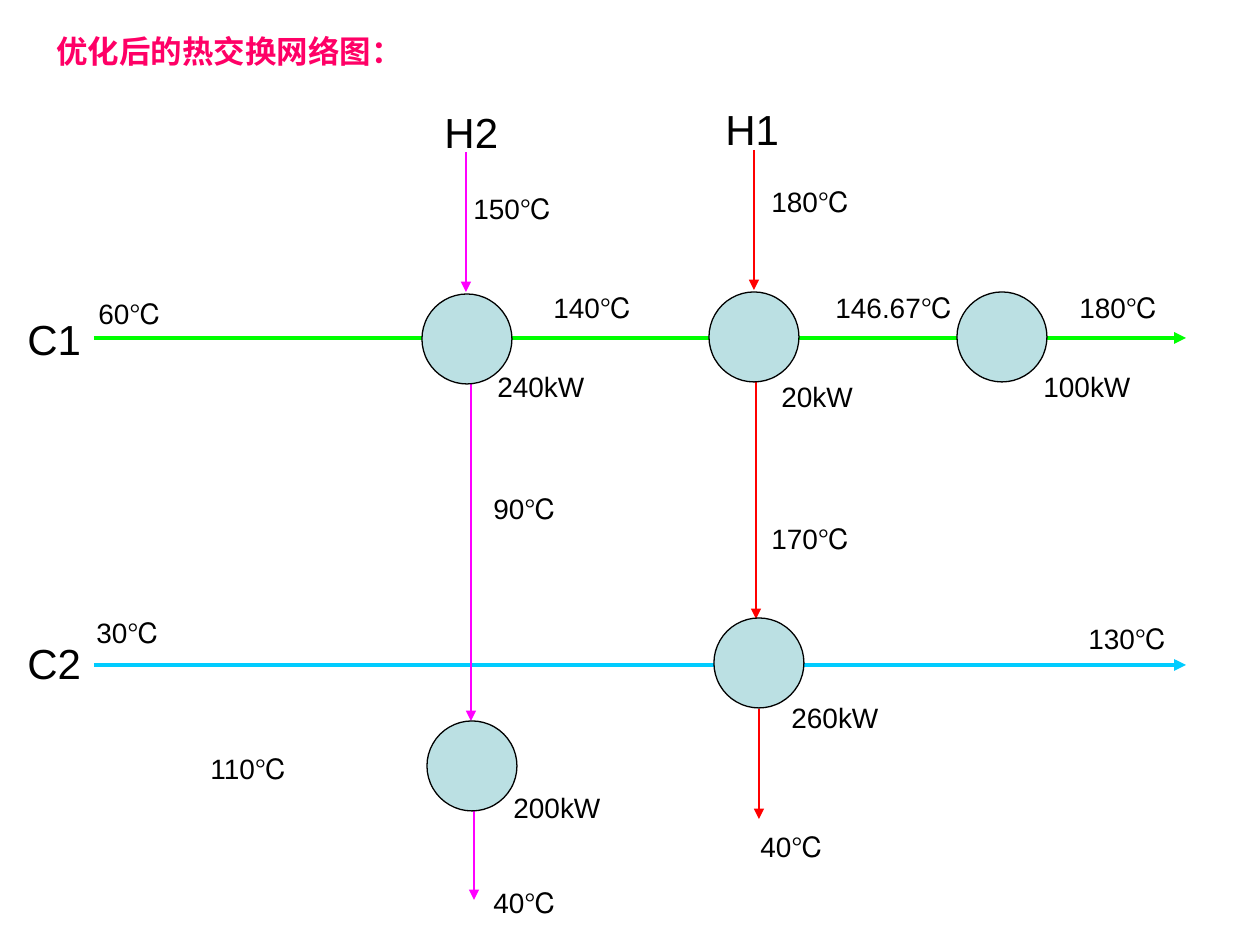
from lxml import etree
from pptx import Presentation
from pptx.dml.color import RGBColor
from pptx.enum.shapes import MSO_CONNECTOR, MSO_SHAPE
from pptx.enum.text import MSO_AUTO_SIZE
from pptx.oxml.ns import qn
from pptx.util import Emu, Pt

STRAIGHT = MSO_CONNECTOR.STRAIGHT
ELLIPSE = MSO_SHAPE.OVAL
GROW = MSO_AUTO_SIZE.SHAPE_TO_FIT_TEXT

EMU_PER_PX = 914400 / 126
FONT = "Arial"
BLACK = "000000"
RED = "FF0000"
MAGENTA = "FF00FF"
DIAMETER = 90


def px(*lengths):
    return [Emu(round(length * EMU_PER_PX)) for length in lengths]


def add_text(text, left, top, width=145, height=46, size=16, color=BLACK, bold=False):
    box = slide.shapes.add_textbox(*px(left, top, width, height))
    frame = box.text_frame
    frame.word_wrap = True
    frame.auto_size = GROW
    paragraph = frame.paragraphs[0]
    run = paragraph.add_run()
    run.text = text
    run.font.name = FONT
    run.font.size = Pt(size)
    run.font.bold = bold
    run.font.color.rgb = RGBColor.from_string(color)


presentation = Presentation()
presentation.slide_width, presentation.slide_height = px(1260, 945)
slide = presentation.slides.add_slide(presentation.slide_layouts[6])

# Cold streams run left to right, hot streams run down
arrows = [
    (94, 338, 1186, 338, "00FF00", 2.25),
    (94, 665, 1186, 665, "00CCFF", 2.25),
]
hot_streams = {
    RED: [(754, 150, 290), (756, 381, 619), (759, 709, 819)],
    MAGENTA: [(466, 152, 292), (471, 383, 721), (474, 810, 900)],
}
for color, segments in hot_streams.items():
    for x, start, end in segments:
        arrows.append((x, start, x, end, color, 1.5))

for x1, y1, x2, y2, color, weight in arrows:
    connector = slide.shapes.add_connector(STRAIGHT, *px(x1, y1, x2, y2))
    connector.line.color.rgb = RGBColor.from_string(color)
    connector.line.width = Pt(weight)
    line = connector.line._get_or_add_ln()
    etree.SubElement(line, qn("a:tailEnd"), type="triangle")
    etree.SubElement(connector._element.spPr, qn("a:effectLst"))

# Heat exchangers
for left, top in [(422, 294), (709, 292), (957, 292), (714, 618), (427, 721)]:
    exchanger = slide.shapes.add_shape(ELLIPSE, *px(left, top, DIAMETER, DIAMETER))
    exchanger.shadow.inherit = False
    exchanger.fill.solid()
    exchanger.fill.fore_color.rgb = RGBColor.from_string("BBE0E3")
    exchanger.line.color.rgb = RGBColor.from_string(BLACK)
    exchanger.line.width = Pt(0.75)

add_text("优化后的热交换网络图：", 44, 26, width=1081, height=50, size=18,
         color="FF0066", bold=True)

stream_names = [("C1", 15, 307), ("C2", 15, 631), ("H1", 713, 97), ("H2", 432, 100)]
for name, left, top in stream_names:
    add_text(name, left, top, width=110, height=63, size=24)

temperatures = [
    ("60℃", 86, 290), ("140℃", 541, 284), ("146.67℃", 823, 284), ("180℃", 1067, 284),
    ("30℃", 84, 609), ("130℃", 1076, 615), ("110℃", 198, 745),
    ("180℃", 759, 178), ("170℃", 759, 515), ("40℃", 748, 823),
    ("150℃", 461, 185), ("90℃", 481, 485), ("40℃", 481, 879),
]
duties = [
    ("240kW", 485, 363), ("20kW", 769, 373), ("100kW", 1031, 363),
    ("260kW", 779, 694), ("200kW", 501, 784),
]
for label, left, top in temperatures + duties:
    add_text(label, left, top)

presentation.save("out.pptx")
